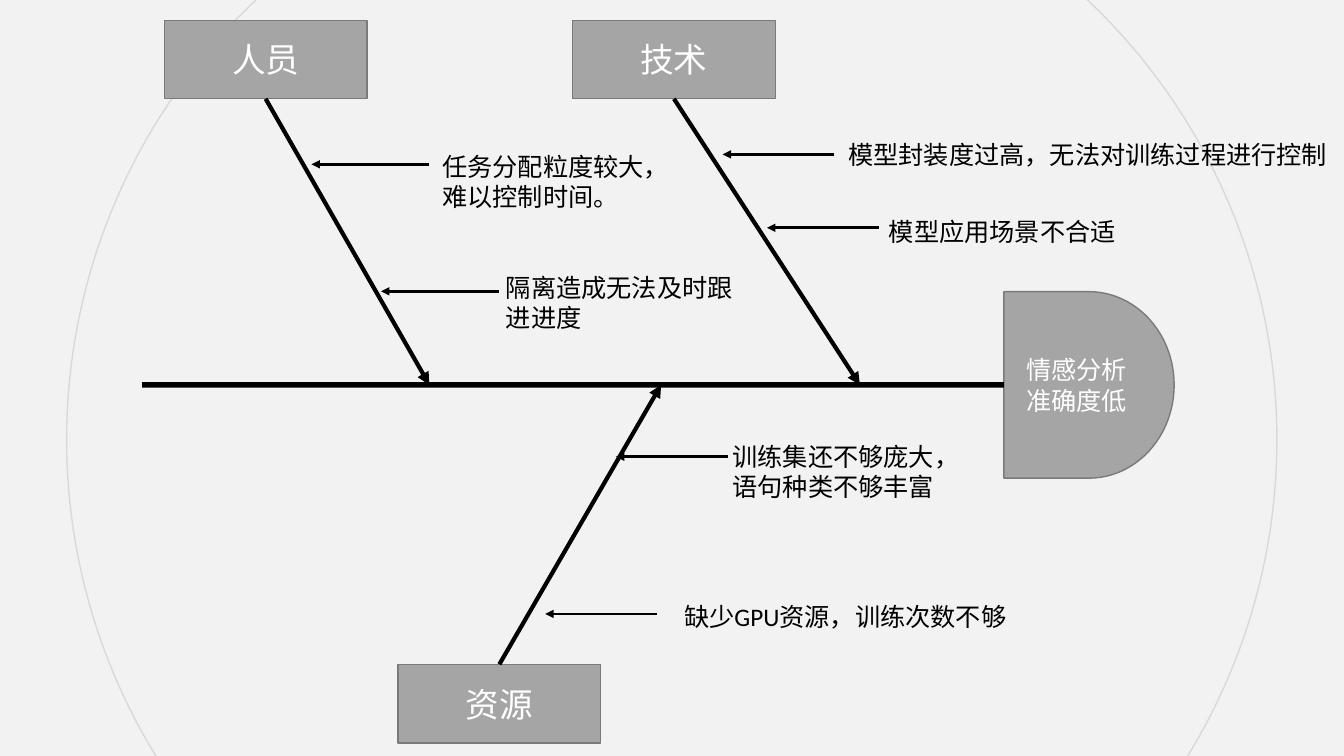
from pptx import Presentation
from pptx.dml.color import RGBColor
from pptx.enum.shapes import MSO_CONNECTOR, MSO_SHAPE as Shape
from pptx.enum.text import MSO_ANCHOR as Anchor, MSO_AUTO_SIZE as AutoSize, PP_ALIGN as Align
from pptx.oxml.ns import qn
from pptx.util import Cm, Pt
from lxml.etree import SubElement

WIDTH, HEIGHT = 33.87, 19.05
SPINE_Y = 9.7
BOX_WIDTH, BOX_HEIGHT = 5.11, 1.98
TOP, LEFT, BOTTOM = 0, 1, 2

# category, box left, box top, joined side, x where the bone meets the spine
BONES = [
    ("技术", 14.43, 0.51, BOTTOM, 21.67),
    ("资源", 10.03, 16.74, TOP, 16.66),
    ("人员", 4.14, 0.51, BOTTOM, 10.82),
]

# arrow start x, y, length; text left, top, width, paragraphs
CAUSES = [
    (21.03, 3.89, 2.82, 21.13, 3.38, 15.19, ["模型封装度过高，无法对训练过程进行控制"]),
    (22.15, 5.74, 2.82, 22.15, 5.33, 16.94, ["模型应用场景不合适"]),
    (16.56, 15.47, 2.82, 16.99, 15.04, 15.19, ["缺少GPU资源，训练次数不够"]),
    (18.34, 11.51, 2.82, 18.21, 11, 20.47, ["训练集还不够庞大，", "语句种类不够丰富"]),
    (10.82, 4.14, 2.97, 10.9, 3.68, 5.77, ["任务分配粒度较大，难以控制时间。"]),
    (12.57, 7.34, 2.97, 12.5, 6.73, 6.4, ["隔离造成无法及时跟进进度"]),
]


def color(value):
    return RGBColor.from_string(value)


class Fishbone:
    """Style and drawing methods for one slide."""

    font = "Calibri"
    ink = "000000"
    paper = "F2F2F2"
    ring = "D9D9D9"
    block_fill = "A5A5A5"
    block_edge = "7A7A7A"
    block_ink = "FFFFFF"

    def __init__(self, page):
        self.page = page

    def shape(self, kind, left, top, width, height, fill=None, edge=None):
        shape = self.page.shapes.add_shape(kind, Cm(left), Cm(top), Cm(width), Cm(height))
        shape.shadow.inherit = False
        if fill:
            shape.fill.solid()
            shape.fill.fore_color.rgb = color(fill)
        else:
            shape.fill.background()
        if edge:
            shape.line.color.rgb = color(edge)
            shape.line.width = Pt(1)
        else:
            shape.line.fill.background()
        return shape

    def set_text(self, frame, text, size, ink, align):
        frame.word_wrap = True
        frame.text = text
        for para in frame.paragraphs:
            para.alignment = align
            for span in para.runs:
                span.font.name = self.font
                span.font.size = Pt(size)
                span.font.color.rgb = color(ink)

    def block(self, kind, left, top, width, height, text, size):
        block = self.shape(kind, left, top, width, height, self.block_fill, self.block_edge)
        block.text_frame.vertical_anchor = Anchor.MIDDLE
        self.set_text(block.text_frame, text, size, self.block_ink, Align.CENTER)
        return block

    def line(self, x1, y1, x2, y2, weight, arrow=True):
        line = self.page.shapes.add_connector(
            MSO_CONNECTOR.STRAIGHT, Cm(x1), Cm(y1), Cm(x2), Cm(y2))
        line.line.color.rgb = color(self.ink)
        line.line.width = Pt(weight)
        properties = line._element.spPr
        if arrow:
            SubElement(properties.find(qn("a:ln")), qn("a:tailEnd"), type="triangle")
        SubElement(properties, qn("a:effectLst"))
        return line

    def note(self, left, top, width, paragraphs):
        height = 1.8 if len(paragraphs) > 1 or width < 10 else 1.02
        box = self.page.shapes.add_textbox(Cm(left), Cm(top), Cm(width), Cm(height))
        self.set_text(box.text_frame, "\n".join(paragraphs), 18, self.ink, Align.LEFT)
        box.text_frame.auto_size = AutoSize.SHAPE_TO_FIT_TEXT

    def bone(self, category, left, top, side, tip_x):
        box = self.block(Shape.RECTANGLE, left, top, BOX_WIDTH, BOX_HEIGHT, category, 24)
        bone = self.line(left, top, tip_x, SPINE_Y, 3)
        bone.begin_connect(box, side)


def main():
    deck = Presentation()
    deck.slide_width, deck.slide_height = Cm(WIDTH), Cm(HEIGHT)
    blank_layout = deck.slide_layouts[6]
    chart = Fishbone(deck.slides.add_slide(blank_layout))

    chart.shape(Shape.RECTANGLE, 0, 0, WIDTH, HEIGHT, fill=chart.paper)
    chart.shape(Shape.OVAL, 1.68, -4.17, 30.5, 30.5, edge=chart.ring)

    problem = chart.block(Shape.FLOWCHART_DELAY, 25.3, 7.35, 4.29, 4.7, "情感分析准确度低", 18)
    spine = chart.line(25.3, SPINE_Y, 3.58, SPINE_Y, 4, arrow=False)
    spine.begin_connect(problem, LEFT)

    for bone in BONES:
        chart.bone(*bone)
    for x, y, length, left, top, width, paragraphs in CAUSES:
        chart.line(x, y, x - length, y, 2)
        chart.note(left, top, width, paragraphs)

    deck.save("out.pptx")


if __name__ == "__main__":
    main()
